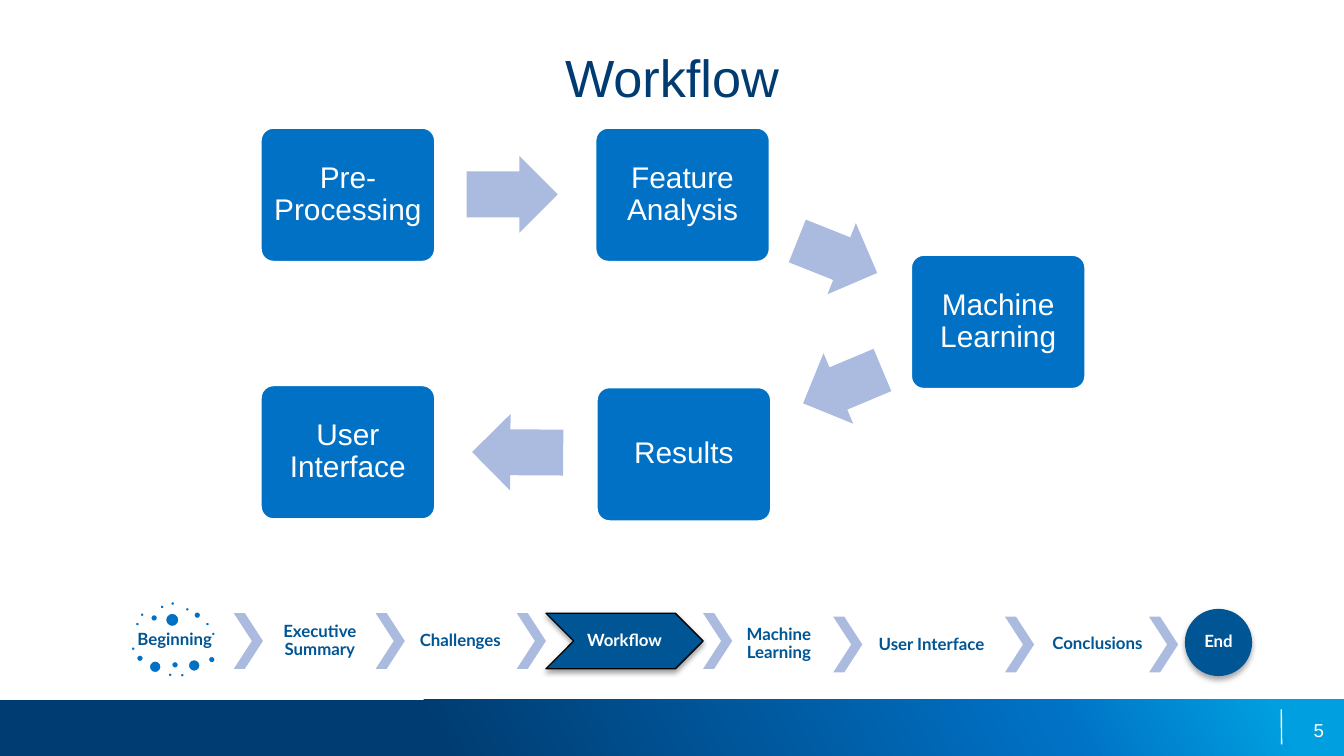
from copy import deepcopy

from lxml import etree
from pptx import Presentation
from pptx.dml.color import RGBColor
from pptx.enum import shapes, text
from pptx.oxml import ns
from pptx.util import Pt

COLORS = {
    "navy": "003C71",
    "deep": "005594",
    "blue": "0071C5",
    "cyan": "009FDF",
    "pale": "ABBBDF",
    "white": "FFFFFF",
    "black": "000000",
}
SHAPE = shapes.MSO_SHAPE
ALIGN = text.PP_ALIGN
MIDDLE = text.MSO_ANCHOR.MIDDLE

STEP_W, STEP_H = 94.3, 72.7
STEPS = [  # label, left, top
    ("Pre-Processing", 139.2, 68),
    ("Feature Analysis", 318.5, 68),
    ("Machine Learning", 487.6, 136.1),
    ("Results", 319.2, 207),
    ("User Interface", 139.2, 205.9),
]
FLOW_ARROWS = [  # left, top, width, rotation
    (250, 83.7, 48.8, 0),
    (425.5, 117.2, 46.1, 21.8),
    (428.4, 186.6, 46.1, 157.2),
    (252.9, 221.8, 48.8, 180.3),
]
NAV_LABELS = [  # label, left, top, width, height
    ("Beginning", 61.2, 322.6, 64.8, 41),
    ("Executive Summary", 141.1, 322.6, 60.5, 41.8),
    ("Challenges", 216.7, 322.6, 59.8, 41.8),
    ("Machine Learning", 396, 330.2, 42.5, 29.5),
    ("User Interface", 463, 334.6, 72, 21.6),
    ("Conclusions", 555.1, 330.2, 65.5, 29.5),
]
NAV_ROWS = {  # top of the chevrons: their left edges
    328.5: (125.3, 201.3, 276.9, 376.7),
    330.4: (446.4, 538.4, 615.6),
}
DOTS = {  # diameter: left and top of each dot
    3.5: [(71.9, 332.6), (74.4, 327.6), (85.1, 323.4), (90.8, 321.6),
          (98.6, 324.7), (109.4, 332.6), (112.5, 337.9), (69.6, 345.8),
          (89.4, 359.8), (95.9, 360)],
    5: [(80.1, 328.6), (103.2, 327.1), (72.5, 350.2), (91.3, 353.7),
        (111, 350.9)],
    7.7: [(79.3, 353.4), (100.2, 352.7)],
    8.6: [(88, 327.8)],
}


def rgb(name):
    return RGBColor.from_string(COLORS[name])


def add_block(slide, kind, left, top, width, height, fill=None, line=None,
              line_width=0.75):
    block = slide.shapes.add_shape(kind, Pt(left), Pt(top), Pt(width), Pt(height))
    block.shadow.inherit = False
    if fill:
        block.fill.solid()
        block.fill.fore_color.rgb = rgb(fill)
    if line:
        block.line.color.rgb = rgb(line)
        block.line.width = Pt(line_width)
    else:
        block.line.fill.background()
    return block


def write(holder, words, size, font, color, align=ALIGN.CENTER, anchor=MIDDLE,
          inset=0, bold=False, spacing=None):
    frame = holder.text_frame
    frame.word_wrap = True
    frame.vertical_anchor = anchor
    frame.margin_left = frame.margin_right = Pt(inset)
    frame.margin_top = frame.margin_bottom = Pt(inset)
    paragraph = frame.paragraphs[0]
    paragraph.text = words
    paragraph.alignment = align
    paragraph.line_spacing = spacing
    paragraph.font.size = Pt(size)
    paragraph.font.name = font
    paragraph.font.bold = bold
    paragraph.font.color.rgb = rgb(color)


def write_nav(holder, words, color):
    write(holder, words, 9, "Lato", color, inset=0.7, bold=True, spacing=0.9)


def add_text_area(slide, left, top, width, height):
    return slide.shapes.add_textbox(Pt(left), Pt(top), Pt(width), Pt(height))


def cast_shadow(block, blur, distance, opacity):
    """Drop a soft black shadow straight below the block."""
    effects = block._element.spPr.find(ns.qn("a:effectLst"))
    shadow = etree.SubElement(effects, ns.qn("a:outerShdw"), blurRad=str(Pt(blur)),
                              dist=str(Pt(distance)), dir="5400000", rotWithShape="0")
    color = etree.SubElement(shadow, ns.qn("a:srgbClr"), val=COLORS["black"])
    etree.SubElement(color, ns.qn("a:alpha"), val=str(opacity * 1000))


def add_footer(slide):
    band = add_block(slide, SHAPE.RECTANGLE, 0, 375, 720, 30)
    band.fill.gradient()
    band.fill.gradient_angle = 29
    stop_list = band._element.spPr.find(".//" + ns.qn("a:gsLst"))
    stop_list.append(deepcopy(stop_list[-1]))
    stops = zip(band.fill.gradient_stops, (("navy", 0.32), ("blue", 0.78), ("cyan", 0.95)))
    for stop, (color, position) in stops:
        stop.color.rgb = rgb(color)
        stop.position = position

    divider = slide.shapes.add_connector(
        shapes.MSO_CONNECTOR.STRAIGHT, Pt(686.4), Pt(380), Pt(686.6), Pt(398.8))
    divider.line.color.rgb = rgb("white")
    divider.line.width = Pt(0.75)
    etree.SubElement(divider._element.spPr, ns.qn("a:effectLst"))

    page_number = add_text_area(slide, 541.4, 380.2, 167.8, 21.6)
    write(page_number, "5", 10, "Arial", "white", align=ALIGN.RIGHT)


def add_workflow(slide):
    for label, left, top in STEPS:
        step = add_block(slide, SHAPE.ROUNDED_RECTANGLE, left, top, STEP_W, STEP_H,
                         "blue", "white", 2)
        step.adjustments[0] = 0.1
        write(step, label, 16, "Arial", "white", inset=4.8, spacing=0.9)
    for left, top, width, rotation in FLOW_ARROWS:
        arrow = add_block(slide, SHAPE.RIGHT_ARROW, left, top, width, 41, "pale")
        arrow.adjustments[0] = 0.6
        arrow.rotation = rotation


def add_navigation(slide):
    for size, places in DOTS.items():
        for left, top in places:
            add_block(slide, SHAPE.OVAL, left, top, size, size, "blue", "white", 2)
    for top, lefts in NAV_ROWS.items():
        for left in lefts:
            chevron = add_block(slide, SHAPE.CHEVRON, left, top, 15.6, 29.8, "pale")
            chevron.adjustments[0] = 0.62
    for label, *area in NAV_LABELS:
        write_nav(add_text_area(slide, *area), label, "deep")

    current = add_block(slide, SHAPE.CHEVRON, 292.5, 328.5, 84.2, 29.8, "deep", "black")
    cast_shadow(current, 3.1, 1.6, 38)
    write_nav(current, "Workflow", "white")
    end = add_block(slide, SHAPE.OVAL, 634.8, 326.2, 36, 36, "deep")
    cast_shadow(end, 3.1, 1.8, 35)
    write_nav(end, "End", "white")


def main():
    deck = Presentation()
    deck.slide_width, deck.slide_height = Pt(720), Pt(405)
    slide = deck.slides.add_slide(deck.slide_layouts[6])
    add_footer(slide)
    title = add_text_area(slide, 36, 24.5, 648, 68.4)
    write(title, "Workflow", 28, "Arial", "navy", anchor=text.MSO_ANCHOR.TOP)
    add_workflow(slide)
    add_navigation(slide)
    deck.save("out.pptx")


if __name__ == "__main__":
    main()
